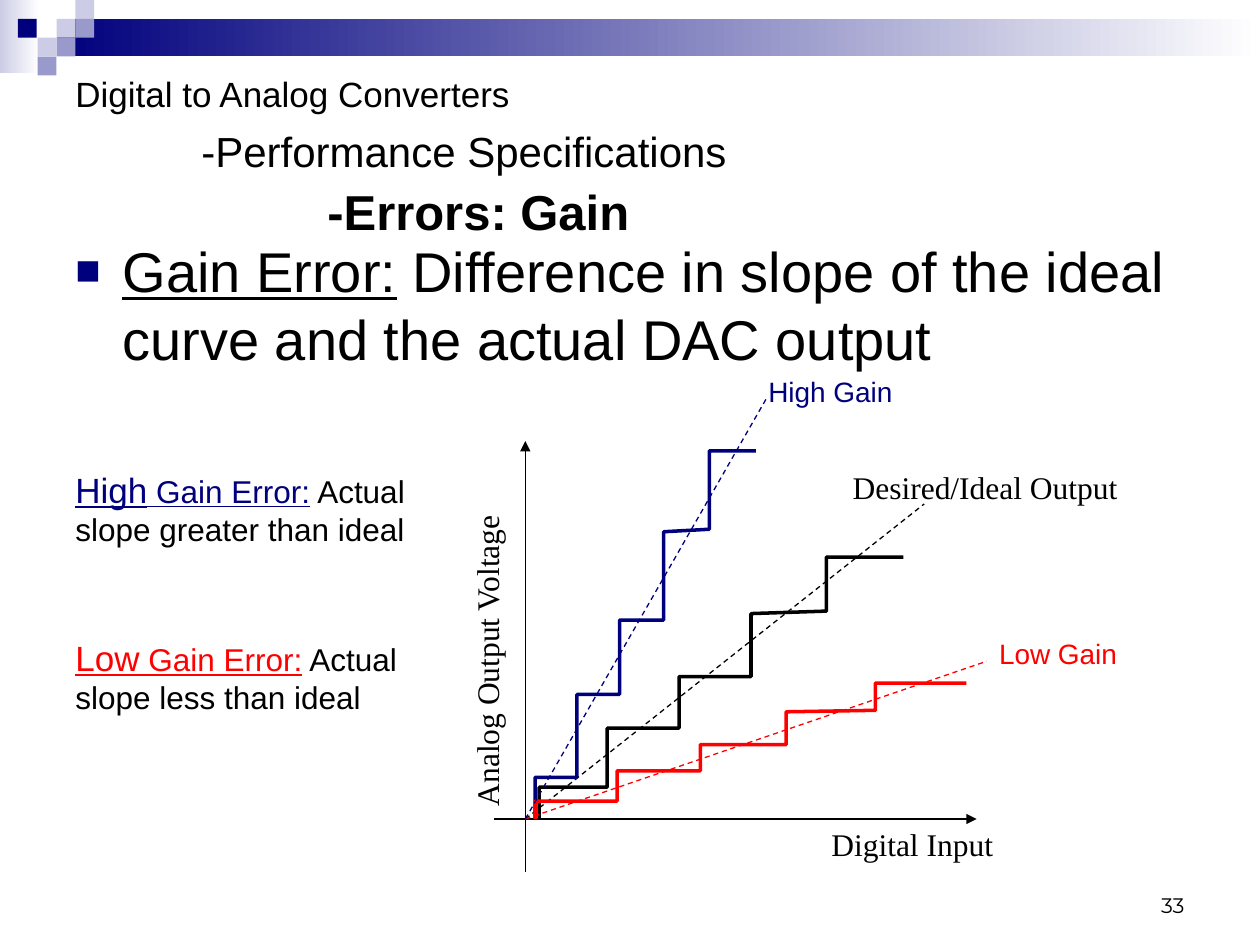
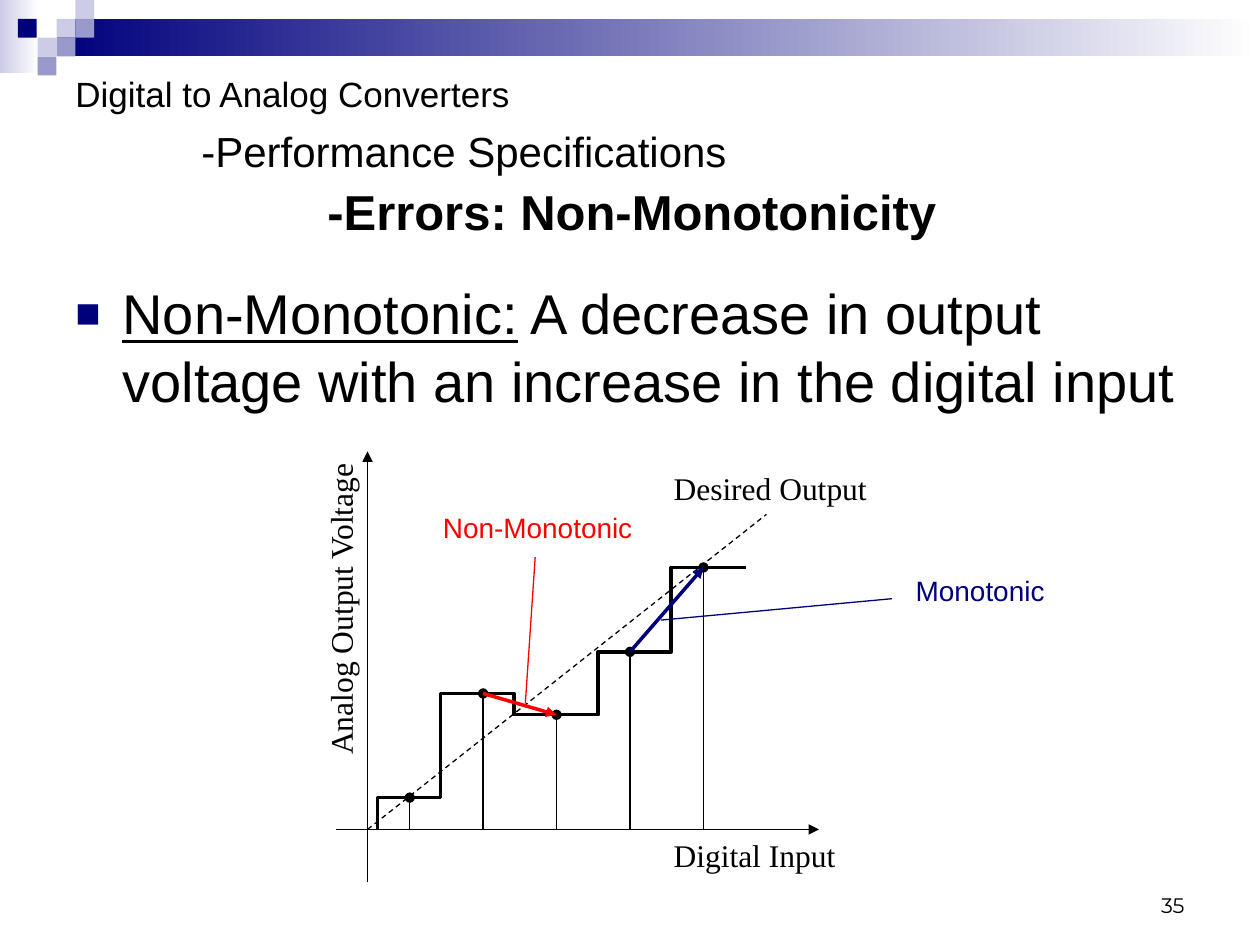
from collections import namedtuple

from lxml import etree
from pptx import Presentation
from pptx import util as u
from pptx.dml import color
from pptx.enum import dml, shapes, text
from pptx.oxml import ns

Box = namedtuple("Box", "left top width height")
Span = namedtuple("Span", "text size ink font bold underline",
                  defaults=("000000", "Arial", False, False))

# Shared look, lengths in cm
NAVY, LILAC, PALE, RED, BLACK, WHITE = (
    "00007D", "9999CC", "CCCCE6", "FF0000", "000000", "FFFFFF")
SERIF = "Times New Roman"
SQUARE = 0.38
HEADER = Box(0, 0, 25.4, 1.91)
TITLE = Box(1.27, 1.7, 22.86, 2.74)
NUMBER = Box(18.21, 17.35, 5.92, 1.27)
PLOT_SIZE = (9.74, 8.69)
ORIGIN = (0.64, 7.62)      # of the axes, from the corner of the plot box
IDEAL_END = (8.04, 6.35)


def rgb(code):
    return color.RGBColor.from_string(code)


# ---------- basic parts ----------

def add_block(page, box, *inks):
    """Rectangle in one colour, or fading from the first colour to the second."""
    block = page.shapes.add_shape(shapes.MSO_SHAPE.RECTANGLE, *map(u.Cm, box))
    block.shadow.inherit = False
    block.line.fill.background()
    if len(inks) == 1:
        block.fill.solid()
        block.fill.fore_color.rgb = rgb(inks[0])
    else:
        block.fill.gradient()
        block.fill.gradient_angle = 0
        for stop, ink in zip(block.fill.gradient_stops, inks):
            stop.color.rgb = rgb(ink)


def add_spans(para, spans):
    for span in spans:
        run = para.add_run()
        run.text = span.text
        run.font.size = u.Pt(span.size)
        run.font.name = span.font
        run.font.bold = span.bold
        run.font.underline = span.underline
        run.font.color.rgb = rgb(span.ink)


def add_text(page, box, *spans, anchor=text.MSO_ANCHOR.TOP):
    holder = page.shapes.add_textbox(*map(u.Cm, box))
    frame = holder.text_frame
    frame.word_wrap = True
    frame.vertical_anchor = anchor
    add_spans(frame.paragraphs[0], spans)
    return holder


def set_indent(para, left, first=0):
    props = para._p.get_or_add_pPr()
    props.set("marL", str(u.Cm(left)))
    props.set("indent", str(u.Cm(first)))
    return props


def add_line(page, start, end, ink=BLACK, width=0.75, dashed=False, tip=None):
    line = page.shapes.add_connector(
        shapes.MSO_CONNECTOR.STRAIGHT, *map(u.Cm, (*start, *end)))
    line.line.color.rgb = rgb(ink)
    line.line.width = u.Pt(width)
    if dashed:
        line.line.dash_style = dml.MSO_LINE.DASH
    if tip:
        etree.SubElement(line.line._get_or_add_ln(), ns.qn("a:tailEnd"), type=tip)
    etree.SubElement(line._element.spPr, ns.qn("a:effectLst"))


# ---------- frame of every slide ----------

def add_header(page, box):
    add_block(page, Box(box.left, box.top, 0.79, 1.47), PALE, WHITE)
    band_left = box.left + 3 * SQUARE
    add_block(page, Box(band_left, box.top + SQUARE,
                        box.width - band_left, 2 * SQUARE), NAVY, WHITE)
    # Mosaic of squares: column, row, colour
    mosaic = [(3, 1, PALE), (4, 0, PALE), (4, 1, LILAC), (2, 2, PALE),
              (0.95, 1, NAVY), (3, 2, LILAC), (2, 3, LILAC)]
    for column, row, ink in mosaic:
        add_block(page, Box(box.left + column * SQUARE, box.top + row * SQUARE,
                            SQUARE, SQUARE), ink)


def add_title(page, box, topic):
    holder = add_text(page, box, Span("Digital to Analog Converters", 20),
                      anchor=text.MSO_ANCHOR.MIDDLE)
    frame = holder.text_frame
    frame.margin_top, frame.margin_bottom = u.Cm(0.17), 0
    levels = [(Span("-Performance Specifications", 24), 2.54, 6),
              (Span(f"-Errors: {topic}", 28, bold=True), 5.08, 3)]
    for span, indent, gap in levels:
        para = frame.add_paragraph()
        para.space_before = u.Pt(gap)
        set_indent(para, indent)
        add_spans(para, [span])


def add_definition(page, box, term, meaning):
    holder = add_text(page, box, Span(term, 32, underline=True), Span(meaning, 32))
    para = holder.text_frame.paragraphs[0]
    para.space_before = u.Pt(3.6)
    props = set_indent(para, 0.95, -0.95)
    ink = etree.SubElement(props, ns.qn("a:buClr"))
    etree.SubElement(ink, ns.qn("a:srgbClr"), val=NAVY)
    etree.SubElement(props, ns.qn("a:buSzPct"), val="75000")
    etree.SubElement(props, ns.qn("a:buFont"), typeface="Arial")
    etree.SubElement(props, ns.qn("a:buChar"), char="■")


def add_page(deck, number, topic):
    page = deck.slides.add_slide(deck.slide_layouts[6])
    add_header(page, HEADER)
    add_title(page, TITLE, topic)
    holder = add_text(page, NUMBER, Span(str(number), 12, font="Montserrat"),
                      anchor=text.MSO_ANCHOR.BOTTOM)
    holder.text_frame.paragraphs[0].alignment = text.PP_ALIGN.RIGHT
    return page


# ---------- plots: x to the right and y up from the origin ----------

class Plot:
    def __init__(self, page, box):
        self.page = page
        self.box = box

    def place(self, point):
        return (self.box.left + ORIGIN[0] + point[0],
                self.box.top + ORIGIN[1] - point[1])

    def line(self, start, end, **style):
        add_line(self.page, self.place(start), self.place(end), **style)

    def label(self, words, corner, width, size=16, ink=BLACK, font="Arial"):
        height = 1.02 if size == 18 else 0.94
        return add_text(self.page, Box(*self.place(corner), width, height),
                        Span(words, size, ink, font))

    def axes(self, voltage_corner, desired, desired_corner, desired_width):
        width, height = self.box.width, self.box.height
        self.line((0, ORIGIN[1] - height), (0, ORIGIN[1]), tip="triangle")
        self.line((-ORIGIN[0], 0), (width - ORIGIN[0], 0), tip="triangle")
        self.line((0, 0), IDEAL_END, dashed=True)
        self.label("Digital Input", (5.92, 0), 5.08, 18, font=SERIF)
        self.label(desired, desired_corner, desired_width, 18, font=SERIF)
        voltage = self.label("Analog Output Voltage", voltage_corner, 6.99, 18,
                             font=SERIF)
        voltage.rotation = 270

    def stairs(self, edges, levels, ink=BLACK, tilt=0):
        """One tread per level; the fourth one rises by tilt."""
        points = [(edges[0], 0)]
        for index, level in enumerate(levels):
            rise = tilt if index == 3 else 0
            points += [(edges[index], level), (edges[index + 1], level + rise)]
        start, *rest = [tuple(map(u.Cm, self.place(point))) for point in points]
        builder = self.page.shapes.build_freeform(*start)
        builder.add_line_segments(rest, close=False)
        outline = builder.convert_to_shape()
        outline.shadow.inherit = False
        outline.fill.background()
        outline.line.color.rgb = rgb(ink)
        outline.line.width = u.Pt(2)


def add_gain_plot(page, box):
    plot = Plot(page, box)
    plot.axes((-4.27, 4.01), "Desired/Ideal Output", (6.35, 7.19), 6.35)
    plot.stairs([0.28, 1.65, 3.1, 4.55, 6.07, 7.62],
                [0.64, 1.83, 2.87, 4.14, 5.28], tilt=0.05)
    plot.stairs([0.2, 1.04, 1.9, 2.79, 3.71, 4.65],
                [0.84, 2.51, 4.01, 5.79, 7.42], NAVY, tilt=0.05)
    plot.stairs([0.2, 1.85, 3.53, 5.26, 7.06, 8.89],
                [0.36, 0.97, 1.5, 2.16, 2.74], RED, tilt=0.03)
    plot.line((0, 0), (9.3, 3.18), ink=RED, dashed=True)
    plot.line((0, 0), (4.85, 8.46), ink=NAVY, dashed=True)
    plot.label("Low Gain", (9.3, 3.81), 3.38, ink=RED)
    plot.label("High Gain", (4.65, 9.09), 3.38, ink=NAVY)


def add_monotonicity_plot(page, box):
    plot = Plot(page, box)
    plot.axes((-4.04, 5.26), "Desired Output", (5.92, 7.39), 4.45)
    levels = [0.64, 2.74, 2.31, 3.58, 5.28]
    plot.stairs([0.2, 1.47, 2.95, 4.65, 6.12, 7.62], levels)
    # Equally spaced samples, one per level
    samples = [(0.85 + 1.48 * index, level) for index, level in enumerate(levels)]
    for x, level in samples:
        plot.line((x, 0), (x, level), tip="oval")
    plot.line(samples[3], samples[4], ink=NAVY, width=2, tip="triangle")
    plot.line(samples[1], samples[2], ink=RED, width=2, tip="triangle")
    # Callouts
    plot.line((5.92, 4.22), (10.57, 4.65), ink=NAVY)
    plot.label("Monotonic", (10.8, 5.28), 4.45, ink=NAVY)
    plot.line((3.18, 2.54), (3.38, 5.49), ink=RED)
    plot.label("Non-Monotonic", (1.27, 6.55), 4.65, ink=RED)


def add_gain_notes(page, box):
    notes = [("High", "greater", NAVY), ("Low", "less", RED)]
    for index, (kind, relation, ink) in enumerate(notes):
        add_text(page, Box(box.left, box.top + index * box.height / 2,
                           box.width, 1.85),
                 Span(kind, 20, ink, underline=True),
                 Span(" Gain Error:", 18, ink, underline=True),
                 Span(f" Actual slope {relation} than ideal", 18))


# ---------- slides ----------

def add_gain_slide(deck):
    page = add_page(deck, 33, "Gain")
    add_definition(page, Box(1.27, 4.65, 22.86, 2.97), "Gain Error:",
                   " Difference in slope of the ideal curve and the actual DAC output")
    add_gain_notes(page, Box(1.27, 9.31, 7.41, 6.78))
    add_gain_plot(page, Box(9.95, 8.89, *PLOT_SIZE))


def add_monotonicity_slide(deck):
    page = add_page(deck, 35, "Non-Monotonicity")
    add_definition(page, Box(1.27, 5.5, 22.86, 3.18), "Non-Monotonic:",
                   " A decrease in output voltage with an increase in the digital input")
    add_monotonicity_plot(page, Box(6.77, 9.1, *PLOT_SIZE))


def main():
    deck = Presentation()
    deck.slide_width, deck.slide_height = u.Cm(25.4), u.Cm(19.05)
    add_gain_slide(deck)
    add_monotonicity_slide(deck)
    deck.save("out.pptx")


if __name__ == "__main__":
    main()
